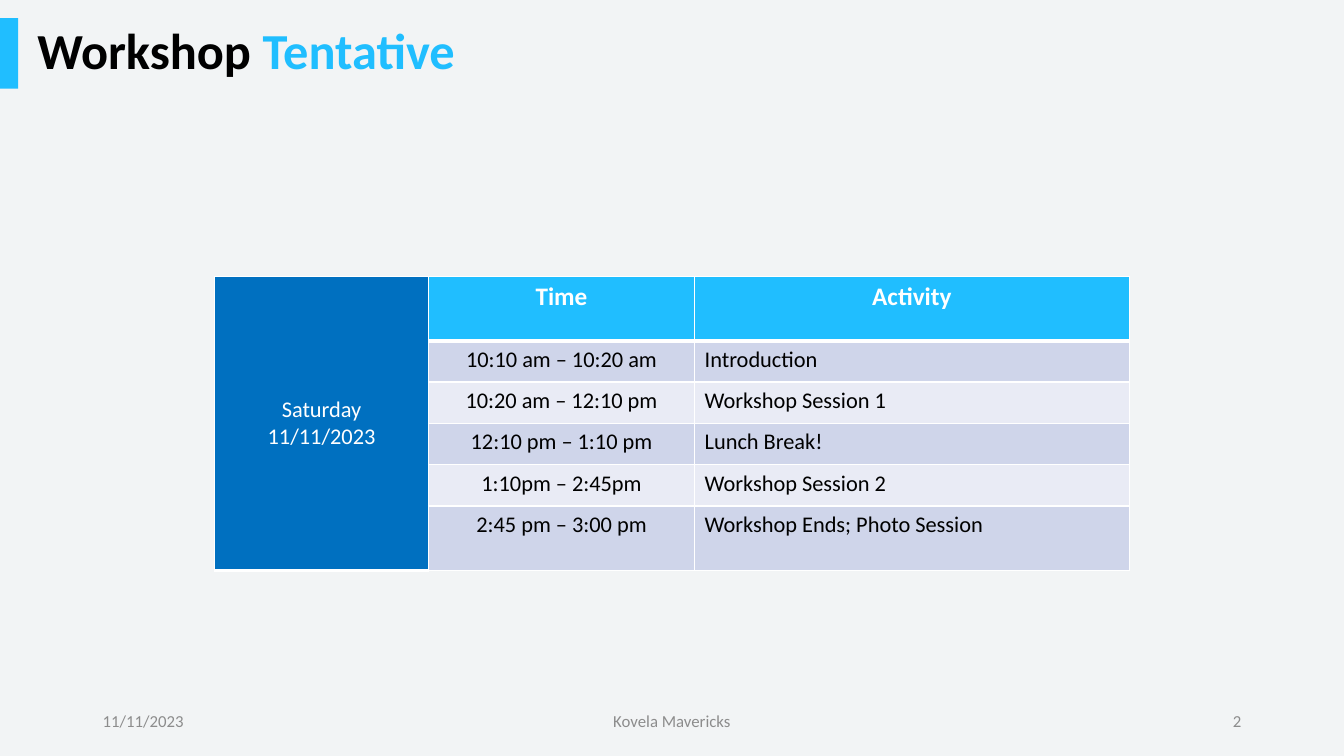
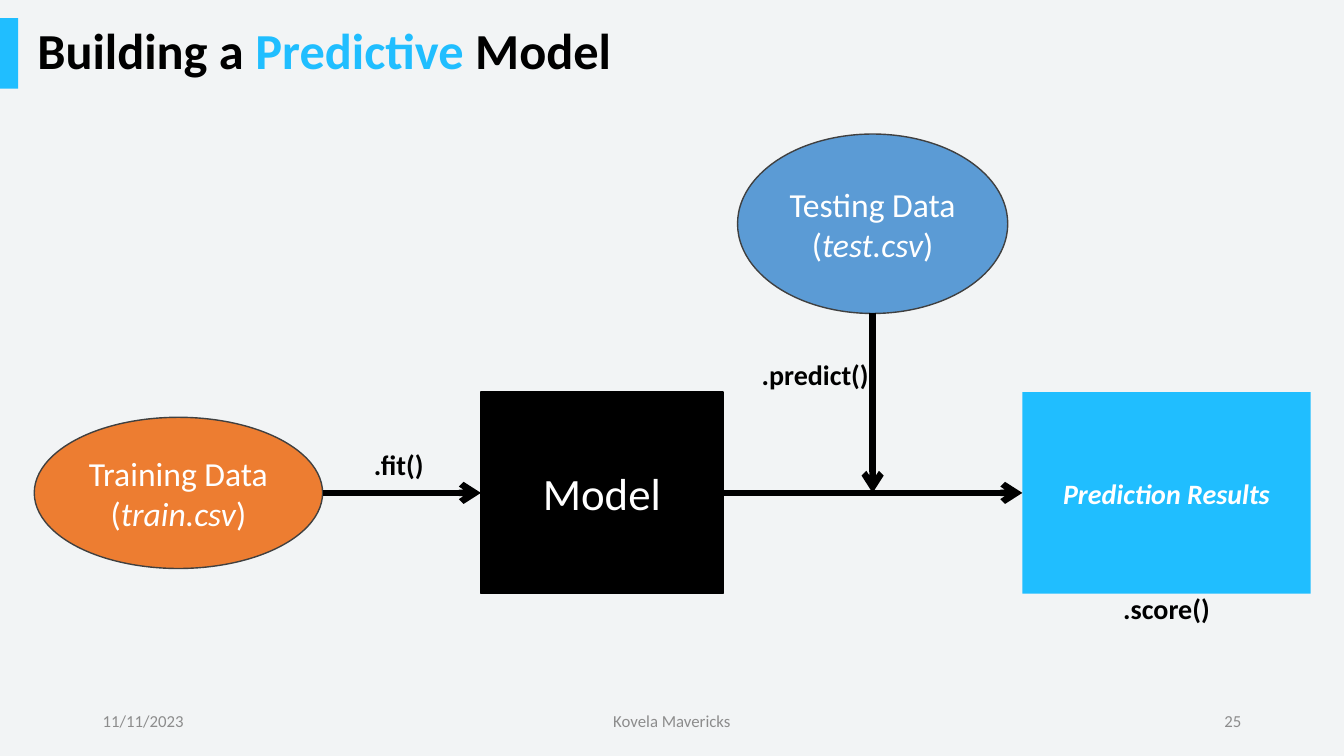
from dataclasses import dataclass

from lxml import etree
from pptx import Presentation
from pptx.dml.color import RGBColor
from pptx.enum.shapes import MSO_CONNECTOR, MSO_SHAPE
from pptx.enum.text import MSO_ANCHOR, MSO_AUTO_SIZE, PP_ALIGN
from pptx.oxml import parse_xml
from pptx.oxml.ns import nsdecls, qn
from pptx.util import Inches, Pt

LEFT, CENTER, RIGHT = PP_ALIGN.LEFT, PP_ALIGN.CENTER, PP_ALIGN.RIGHT
TOP, MIDDLE = MSO_ANCHOR.TOP, MSO_ANCHOR.MIDDLE
RECT, OVAL = MSO_SHAPE.RECTANGLE, MSO_SHAPE.OVAL

# Content: a title run is (text, highlighted); a caption run is (text, italic).
EVENT_DATE = "11/11/2023"
TEAM = "Kovela Mavericks"
SCHEDULE_TITLE = [("Workshop", False), (" Tentative", True)]
MODEL_TITLE = [("Building a ", False), ("Predictive", True), (" Model", False)]
DAY = ["Saturday", EVENT_DATE]
HEADINGS = ("Time", "Activity")
SESSIONS = [
    ("10:10 am – 10:20 am", "Introduction"),
    ("10:20 am – 12:10 pm", "Workshop Session 1"),
    ("12:10 pm – 1:10 pm", "Lunch Break!"),
    ("1:10pm – 2:45pm", "Workshop Session 2"),
    ("2:45 pm – 3:00 pm", "Workshop Ends; Photo Session"),
]
TRAINING = [[("Training Data", False)],
            [("(", False), ("train.csv", True), (")", False)]]
TESTING = [[("Testing Data", False)],
           [("(", False), ("test.csv", True), (")", False)]]
MODEL = [[("Model", False)]]
RESULTS = [[("Prediction Results", True)]]


@dataclass(frozen=True)
class Theme:
    """Colours, font and type sizes of the deck."""
    font: str = "Calibri"
    paper: str = "F2F4F5"
    ink: str = "000000"
    white: str = "FFFFFF"
    accent: str = "20BEFF"
    day: str = "0070C0"
    bands: tuple = ("CFD5EA", "E9EBF5")
    training: str = "ED7D31"
    testing: str = "5B9BD5"
    outline: str = "404040"
    muted: str = "8C8C8C"
    title_pt: int = 36
    model_pt: int = 32
    data_pt: int = 24
    label_pt: int = 20
    heading_pt: int = 18
    cell_pt: int = 16
    footer_pt: int = 12


THEME = Theme()
WIDTH, HEIGHT = 13.33, 7.5
BAND_TOP, BAND_HEIGHT, BAND_WIDTH = 0.18, 0.7, 0.18
TITLE_LEFT = 0.27
MARGIN = 0.92
FOOTER_TOP, FOOTER_HEIGHT = 6.95, 0.4
SIDE_WIDTH, TEAM_WIDTH = 3, 4.5
COLUMNS = (2.12, 2.64, 4.31)
TALL_ROW, ROW = 0.64, 0.41
TABLE_TOP = 2.74
FLOW_AXIS = 4.89
LABEL_HEIGHT = 0.27


def rgb(color):
    """Turn a hex string into a colour."""
    return RGBColor.from_string(color)


def box(left, top, width, height):
    """Convert a frame in inches to lengths."""
    return [Inches(value) for value in (left, top, width, height)]


def style(paragraph, size, color, align=LEFT, bold=False):
    """Format a whole paragraph."""
    paragraph.alignment = align
    font = paragraph.font
    font.name, font.size, font.bold = THEME.font, Pt(size), bold
    font.color.rgb = rgb(color)


def add_label(slide, text, frame, size, color, align=CENTER, bold=False, inset=0):
    """Add a single-line text box."""
    text_frame = slide.shapes.add_textbox(*box(*frame)).text_frame
    text_frame.word_wrap = True
    text_frame.vertical_anchor = MIDDLE
    text_frame.margin_left = text_frame.margin_right = Inches(inset)
    text_frame.margin_top = text_frame.margin_bottom = 0
    text_frame.text = text
    style(text_frame.paragraphs[0], size, color, align, bold)


def add_block(slide, kind, frame, fill, line=None):
    """Add a flat filled shape, outlined when a line colour is given."""
    block = slide.shapes.add_shape(kind, *box(*frame))
    block.shadow.inherit = False
    block.fill.solid()
    block.fill.fore_color.rgb = rgb(fill)
    if line:
        block.line.color.rgb = rgb(line)
        block.line.width = Pt(1)
    else:
        block.line.fill.background()
    return block


def add_node(slide, kind, frame, fill, line, caption, size, bold=False):
    """Add a diagram node with centred caption lines."""
    text_frame = add_block(slide, kind, frame, fill, line).text_frame
    text_frame.word_wrap = True
    text_frame.vertical_anchor = MIDDLE
    for index, runs in enumerate(caption):
        paragraph = text_frame.add_paragraph() if index else text_frame.paragraphs[0]
        style(paragraph, size, THEME.white, CENTER, bold)
        for text, italic in runs:
            run = paragraph.add_run()
            run.text = text
            run.font.italic = italic


def add_arrow(slide, start, end):
    """Add a thick arrow between two points."""
    arrow = slide.shapes.add_connector(
        MSO_CONNECTOR.STRAIGHT, *[Inches(value) for value in start + end])
    arrow.line.color.rgb = rgb(THEME.ink)
    arrow.line.width = Pt(4.5)
    etree.SubElement(arrow.line._get_or_add_ln(), qn("a:tailEnd"), type="arrow")
    etree.SubElement(arrow._element.spPr, qn("a:effectLst"))


def add_page(deck, title_runs, number):
    """Add a slide with the shared title, band and footer."""
    slide = deck.slides.add_slide(deck.slide_layouts.get_by_name("Title Only"))
    title = slide.shapes.title
    title.left, title.top, title.width, title.height = box(
        TITLE_LEFT, BAND_TOP, WIDTH - 3, BAND_HEIGHT)
    title.text_frame.auto_size = MSO_AUTO_SIZE.NONE
    title.text_frame.vertical_anchor = MIDDLE
    heading = title.text_frame.paragraphs[0]
    style(heading, THEME.title_pt, THEME.ink, LEFT, True)
    heading.line_spacing = 0.9
    for text, highlighted in title_runs:
        run = heading.add_run()
        run.text = text
        if highlighted:
            run.font.color.rgb = rgb(THEME.accent)
    add_block(slide, RECT, (0, BAND_TOP, BAND_WIDTH, BAND_HEIGHT), THEME.accent)
    footers = [
        (EVENT_DATE, MARGIN, SIDE_WIDTH, LEFT),
        (TEAM, (WIDTH - TEAM_WIDTH) / 2, TEAM_WIDTH, CENTER),
        (str(number), WIDTH - MARGIN - SIDE_WIDTH, SIDE_WIDTH, RIGHT),
    ]
    for text, left, width, align in footers:
        add_label(slide, text, (left, FOOTER_TOP, width, FOOTER_HEIGHT),
                  THEME.footer_pt, THEME.muted, align, inset=0.1)
    return slide


def fill_cell(cell, lines, fill, size, color, align=CENTER, bold=False,
              anchor=TOP, above=1, below=1):
    """Write, fill and border one table cell."""
    for side, width in (("L", 1), ("R", 1), ("T", above), ("B", below)):
        cell._tc.get_or_add_tcPr().append(parse_xml(
            f'<a:ln{side} {nsdecls("a")} w="{Pt(width)}"><a:solidFill>'
            f'<a:srgbClr val="{THEME.white}"/></a:solidFill></a:ln{side}>'))
    cell.fill.solid()
    cell.fill.fore_color.rgb = rgb(fill)
    cell.vertical_anchor = anchor
    cell.text = "\n".join(lines)
    for paragraph in cell.text_frame.paragraphs:
        style(paragraph, size, color, align, bold)


def build_schedule(deck):
    """Build the workshop timetable."""
    slide = add_page(deck, SCHEDULE_TITLE, 2)
    heights = [TALL_ROW] + [ROW] * (len(SESSIONS) - 1) + [TALL_ROW]
    width = sum(COLUMNS)
    table = slide.shapes.add_table(
        len(heights), len(COLUMNS),
        *box((WIDTH - width) / 2, TABLE_TOP, width, sum(heights))).table
    for column, column_width in zip(table.columns, COLUMNS):
        column.width = Inches(column_width)
    for row, height in zip(table.rows, heights):
        row.height = Inches(height)
    day = table.cell(0, 0)
    day.merge(table.cell(len(SESSIONS), 0))
    fill_cell(day, DAY, THEME.day, THEME.cell_pt, THEME.white,
              anchor=MIDDLE, below=3)
    for column, heading in enumerate(HEADINGS, 1):
        fill_cell(table.cell(0, column), [heading], THEME.accent,
                  THEME.heading_pt, THEME.white, bold=True, below=3)
    for row, session in enumerate(SESSIONS, 1):
        for column, (text, align) in enumerate(zip(session, (CENTER, LEFT)), 1):
            fill_cell(table.cell(row, column), [text], THEME.bands[(row - 1) % 2],
                      THEME.cell_pt, THEME.ink, align, above=3 if row == 1 else 1)


def on_axis(left, width, height):
    """Frame a node centred on the flow axis."""
    return left, FLOW_AXIS - height / 2, width, height


def build_model(deck):
    """Build the diagram from training data to scored predictions."""
    slide = add_page(deck, MODEL_TITLE, 25)
    training = on_axis(0.34, 2.86, 1.5)
    model = on_axis(4.77, 2.4, 2)
    results = on_axis(10.14, 2.86, 2)
    training_end, model_end = training[0] + training[2], model[0] + model[2]
    test_axis = (model_end + results[0]) / 2
    testing = (test_axis - 1.34, 1.33, 2.68, 1.78)
    testing_end = testing[1] + testing[3]

    add_node(slide, OVAL, training, THEME.training, THEME.outline,
             TRAINING, THEME.data_pt)
    add_node(slide, OVAL, testing, THEME.testing, THEME.outline,
             TESTING, THEME.data_pt)
    add_node(slide, RECT, model, THEME.ink, THEME.ink, MODEL, THEME.model_pt)
    add_node(slide, RECT, results, THEME.accent, None,
             RESULTS, THEME.label_pt, bold=True)

    add_arrow(slide, (training_end, FLOW_AXIS), (model[0], FLOW_AXIS))
    add_arrow(slide, (model_end, FLOW_AXIS), (results[0], FLOW_AXIS))
    add_arrow(slide, (test_axis, testing_end), (test_axis, FLOW_AXIS))

    calls = [
        (".fit()", (training_end + model[0]) / 2 - 0.03, 4.47, 0.72),
        (".predict()", test_axis - 0.57, 3.58, 1.32),
        (".score()", results[0] + results[2] / 2, 5.9, 1.32),
    ]
    for text, center, top, width in calls:
        add_label(slide, text, (center - width / 2, top, width, LABEL_HEIGHT),
                  THEME.label_pt, THEME.ink, bold=True)


def main():
    """Build and save the deck."""
    deck = Presentation()
    deck.slide_width, deck.slide_height = Inches(WIDTH), Inches(HEIGHT)
    paper = deck.slide_master.background.fill
    paper.solid()
    paper.fore_color.rgb = rgb(THEME.paper)
    build_schedule(deck)
    build_model(deck)
    deck.save("out.pptx")


main()
